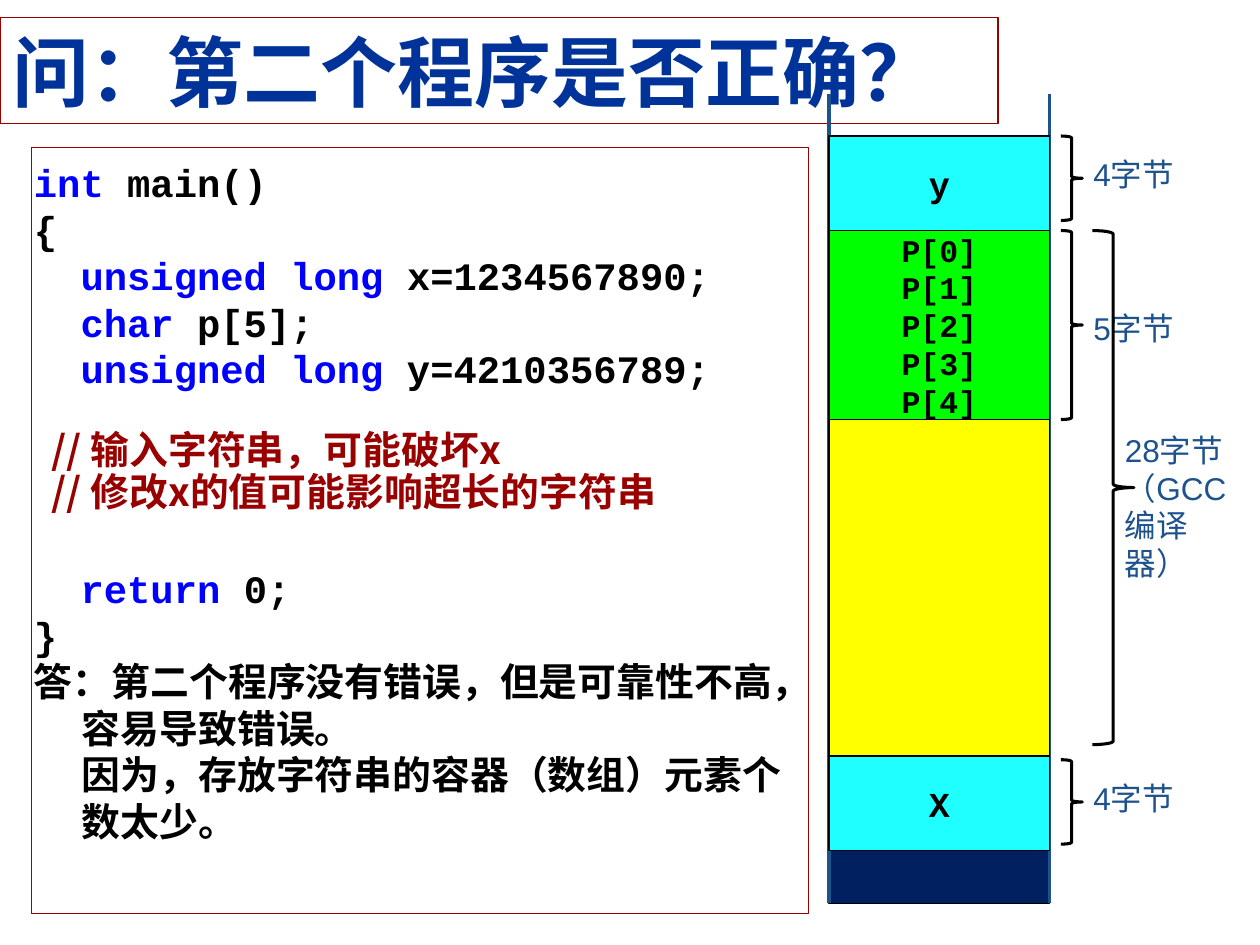
"""Build a slide on whether a program that overruns an array is correct."""
from dataclasses import dataclass
from typing import Optional

from lxml import etree
from pptx import Presentation
from pptx.dml.color import RGBColor
from pptx.enum import shapes, text
from pptx.oxml.ns import qn
from pptx.util import Inches, Pt


@dataclass(frozen=True)
class Theme:
    mono: str = "Courier New"
    sans: str = "Arial"
    chinese: str = "Noto Sans CJK SC"
    black: str = "000000"
    keyword: str = "0000FF"
    red: str = "990000"
    title: str = "003399"
    label: str = "1D528D"
    navy: str = "002060"
    cyan: str = "20FFFF"
    green: str = "00FF00"
    yellow: str = "FFFF00"
    title_size: float = 44
    code_size: float = 22.2
    name_size: float = 20
    small_size: float = 18
    leading: float = 1.2


@dataclass(frozen=True)
class Style:
    size: float
    color: str
    font: str
    bold: bool = True


@dataclass(frozen=True)
class Line:
    spans: tuple[tuple[str, Style], ...]
    before: float = 0
    spacing: float = 1


@dataclass(frozen=True)
class Cell:
    top: float
    height: float
    fill: str
    names: tuple[str, ...] = ()
    size: float = 20


@dataclass(frozen=True)
class Brace:
    left: float
    top: float
    width: float
    height: float
    label_left: float
    label_top: float
    label_width: float
    label: tuple[str, ...]


THEME = Theme()
STACK_LEFT, STACK_WIDTH = 6.58, 1.75
CODE = Style(THEME.code_size, THEME.black, THEME.mono)
KEYWORD = Style(THEME.code_size, THEME.keyword, THEME.mono)
COMMENT = Style(THEME.code_size, THEME.red, THEME.chinese)
TITLE = Style(THEME.title_size, THEME.title, THEME.mono)
LABEL = Style(THEME.small_size, THEME.label, THEME.sans, False)

PROGRAM = (
    Line((("int", KEYWORD), (" main()", CODE))),
    Line((("{", CODE),)),
    Line((("  ", CODE), ("unsigned long ", KEYWORD), ("x=1234567890;", CODE))),
    Line((("  ", CODE), ("char", KEYWORD), (" p[5];", CODE))),
    Line((("  ", CODE), ("unsigned long", KEYWORD), (" y=4210356789;", CODE))),
    Line((("  // 输入字符串，可能破坏x", COMMENT),), 22.3, 0.9),
    Line((("  // 修改x的值可能影响超长的字符串", COMMENT),), 0, 0.9),
    Line((("  ", CODE), ("return", KEYWORD), (" 0;", CODE)), 28.7),
    Line((("}", CODE),)),
    Line((("答：第二个程序没有错误，但是可靠性不高，容易导致错误。\n"
           "因为，存放字符串的容器（数组）元素个数太少。", CODE),)),
)
CELLS = (
    Cell(1.08, 0.75, THEME.cyan, ("y",), THEME.name_size),
    Cell(1.83, 1.5, THEME.green, tuple(f"P[{i}]" for i in range(5)), THEME.small_size),
    Cell(6, 0.75, THEME.cyan, ("X",), THEME.name_size),
    Cell(3.33, 2.67, THEME.yellow),
)
BRACES = (
    Brace(8.42, 1.08, 0.17, 0.67, 8.58, 1.18, 0.92, ("4字节",)),
    Brace(8.42, 1.83, 0.17, 1.5, 8.58, 2.4, 0.92, ("5字节",)),
    Brace(8.42, 6.03, 0.17, 0.67, 8.58, 6.13, 0.92, ("4字节",)),
    Brace(8.67, 1.83, 0.33, 4.08, 8.83, 3.37, 1.17, ("28字节", "（GCC", "编译器）")),
)


def add_span(para, words: str, style: Style) -> None:
    """Add one styled run to a paragraph."""
    span = para.add_run()
    span.text = words
    span.font.size = Pt(style.size)
    span.font.bold = style.bold
    span.font.name = style.font
    span.font.color.rgb = RGBColor.from_string(style.color)
    latin = span.font._element.find(qn("a:latin"))
    east_asian = etree.Element(qn("a:ea"), typeface=THEME.chinese)
    latin.addnext(east_asian)


def write(frame, lines: tuple[Line, ...], align=text.PP_ALIGN.LEFT, hanging: float = 0) -> None:
    """Write lines into a text frame with even leading."""
    for index, line in enumerate(lines):
        para = frame.paragraphs[0] if index == 0 else frame.add_paragraph()
        para.alignment = align
        size = line.spans[0][1].size
        para.line_spacing = Pt(size * THEME.leading * line.spacing)
        if line.before:
            para.space_before = Pt(line.before)
        if hanging:
            properties = para._p.get_or_add_pPr()
            properties.set("marL", str(Inches(hanging)))
            properties.set("indent", str(-Inches(hanging)))
        for words, style in line.spans:
            for part, piece in enumerate(words.split("\n")):
                if part:
                    para.add_line_break()
                add_span(para, piece, style)


def plain_lines(words: tuple[str, ...], style: Style) -> tuple[Line, ...]:
    """Turn strings into lines of one style."""
    return tuple(Line(((word, style),)) for word in words)


def add_outline(page, kind, left: float, top: float, width: float, height: float,
                color: str, weight: float, fill: Optional[str] = None):
    """Add a preset shape with a line and an optional fill."""
    box = page.shapes.add_shape(kind, Inches(left), Inches(top), Inches(width), Inches(height))
    box.shadow.inherit = False
    box.line.color.rgb = RGBColor.from_string(color)
    box.line.width = Pt(weight)
    if fill:
        box.fill.solid()
        box.fill.fore_color.rgb = RGBColor.from_string(fill)
    else:
        box.fill.background()
    return box


def add_cell(page, cell: Cell) -> None:
    """Add one block of the memory stack."""
    box = add_outline(page, shapes.MSO_SHAPE.RECTANGLE, STACK_LEFT, cell.top,
                      STACK_WIDTH, cell.height, THEME.black, 0.75, cell.fill)
    if cell.names:
        box.text_frame.word_wrap = False
        box.text_frame.vertical_anchor = text.MSO_ANCHOR.MIDDLE
        style = Style(cell.size, THEME.black, THEME.mono)
        write(box.text_frame, plain_lines(cell.names, style), text.PP_ALIGN.CENTER)


def add_brace(page, brace: Brace) -> None:
    """Add a brace and its size label."""
    add_outline(page, shapes.MSO_SHAPE.RIGHT_BRACE, brace.left, brace.top,
                brace.width, brace.height, THEME.black, 1.75)
    height = 0.1 + len(brace.label) * 0.3
    box = page.shapes.add_textbox(Inches(brace.label_left), Inches(brace.label_top),
                                  Inches(brace.label_width), Inches(height))
    box.text_frame.word_wrap = True
    write(box.text_frame, plain_lines(brace.label, LABEL))


def add_rail(page, left: float) -> None:
    """Add one upright side of the memory stack."""
    rail = page.shapes.add_connector(shapes.MSO_CONNECTOR.STRAIGHT, Inches(left),
                                     Inches(7.17), Inches(left), Inches(0.75))
    rail.line.color.rgb = RGBColor.from_string(THEME.label)
    rail.line.width = Pt(2)
    etree.SubElement(rail._element.spPr, qn("a:effectLst"))


def main() -> None:
    """Build and save the deck."""
    deck = Presentation()
    deck.slide_width, deck.slide_height = Inches(10), Inches(7.5)
    page = deck.slides.add_slide(deck.slide_layouts[6])
    rectangle = shapes.MSO_SHAPE.RECTANGLE

    title = add_outline(page, rectangle, 0, 0.14, 7.92, 0.84, THEME.red, 1)
    title.text_frame.vertical_anchor = text.MSO_ANCHOR.MIDDLE
    write(title.text_frame, plain_lines(("问：第二个程序是否正确？",), TITLE))

    program = add_outline(page, rectangle, 0.25, 1.17, 6.17, 6.08, THEME.red, 0.75)
    program.text_frame.vertical_anchor = text.MSO_ANCHOR.TOP
    program.text_frame.margin_left = Inches(0.02)
    program.text_frame.margin_top = Inches(0.09)
    write(program.text_frame, PROGRAM, hanging=0.38)

    add_cell(page, Cell(6.75, 0.42, THEME.navy))
    for left in (STACK_LEFT, STACK_LEFT + STACK_WIDTH):
        add_rail(page, left)
    for cell, brace in zip(CELLS, BRACES):
        add_cell(page, cell)
        add_brace(page, brace)
    deck.save("out.pptx")


if __name__ == "__main__":
    main()
